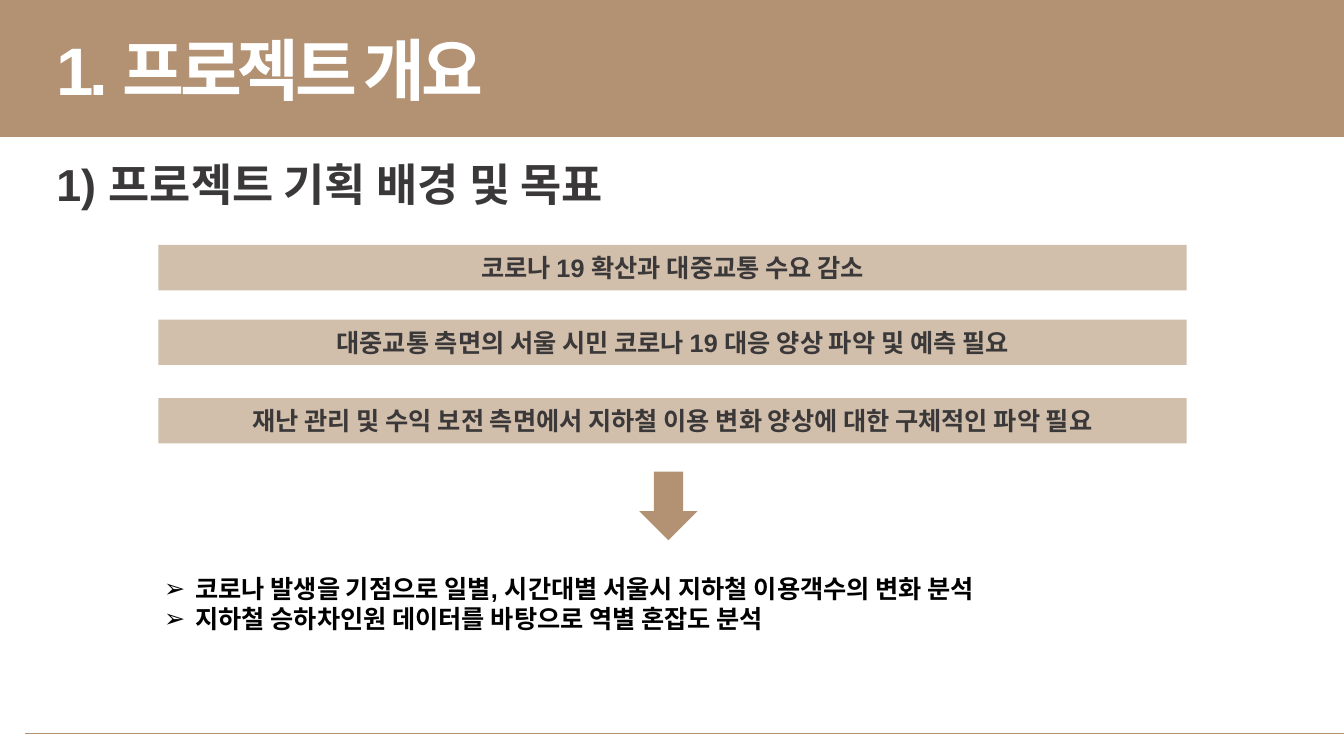
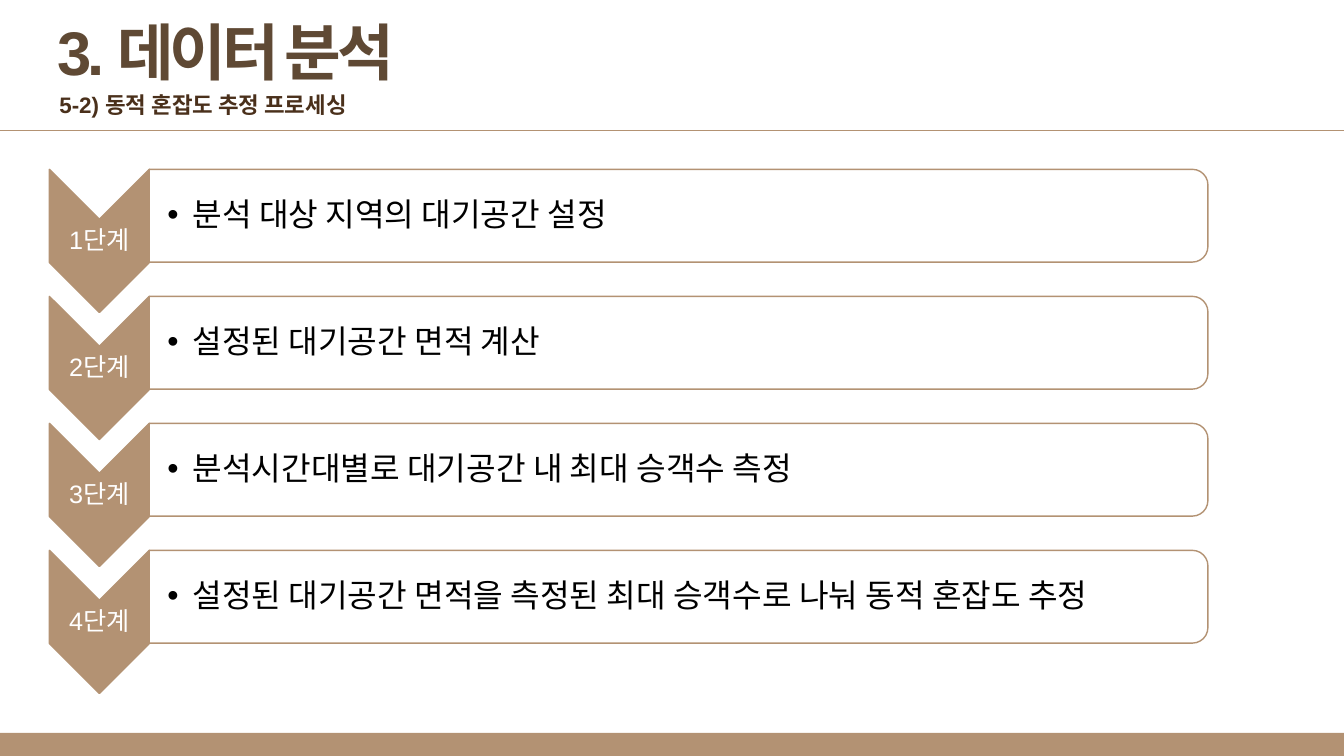
"""Build two slides of a transit project deck: its background and its process."""
from dataclasses import dataclass

from lxml import etree
from pptx import Presentation
from pptx.dml.color import RGBColor
from pptx.enum.shapes import MSO_CONNECTOR, MSO_SHAPE
from pptx.enum.text import MSO_ANCHOR, MSO_AUTO_SIZE, PP_ALIGN
from pptx.oxml.ns import qn
from pptx.util import Inches, Pt

RECT, ARROW = MSO_SHAPE.RECTANGLE, MSO_SHAPE.DOWN_ARROW
CHEVRON, PANEL = MSO_SHAPE.CHEVRON, MSO_SHAPE.ROUND_2_SAME_RECTANGLE
STRAIGHT = MSO_CONNECTOR.STRAIGHT
LEFT, CENTER = PP_ALIGN.LEFT, PP_ALIGN.CENTER
TOP, MIDDLE = MSO_ANCHOR.TOP, MSO_ANCHOR.MIDDLE
GROW, FIXED = MSO_AUTO_SIZE.SHAPE_TO_FIT_TEXT, MSO_AUTO_SIZE.NONE

BACKGROUND = {
    "title": "1. 프로젝트 개요",
    "head": "1) 프로젝트 기획 배경 및 목표",
    "bars": [
        (2.43, "코로나 19 확산과 대중교통 수요 감소"),
        (3.17, "대중교통 측면의 서울 시민 코로나 19 대응 양상 파악 및 예측 필요"),
        (3.95, "재난 관리 및 수익 보전 측면에서 지하철 이용 변화 양상에 대한 구체적인 파악 필요"),
    ],
    "goals": [
        "코로나 발생을 기점으로 일별, 시간대별 서울시 지하철 이용객수의 변화 분석",
        "지하철 승하차인원 데이터를 바탕으로 역별 혼잡도 분석",
    ],
}
PROCESS = {
    "title": "3. 데이터 분석",
    "head": "5-2) 동적 혼잡도 추정 프로세싱",
    "steps": [
        ("1단계", "분석 대상 지역의 대기공간 설정"),
        ("2단계", "설정된 대기공간 면적 계산"),
        ("3단계", "분석시간대별로 대기공간 내 최대 승객수 측정"),
        ("4단계", "설정된 대기공간 면적을 측정된 최대 승객수로 나눠 동적 혼잡도 추정"),
    ],
}


@dataclass(frozen=True)
class Theme:
    wide: float = 13.33
    high: float = 7.5
    font: str = "Arial"
    main: str = "B39273"
    pale: str = "D1BEAB"
    gray: str = "3A3838"
    brown: str = "5F4934"
    dark: str = "4A301B"
    white: str = "FFFFFF"
    black: str = "000000"
    cover: int = 48
    title: int = 44
    head: int = 32
    step: int = 23
    body: int = 18
    sub: int = 16
    tight: int = -300
    rule: float = 0.5
    edge: float = 1


T = Theme()


def color(code):
    return RGBColor.from_string(code)


def add_shape(slide, kind, box, fill, line=None, turn=0):
    shape = slide.shapes.add_shape(kind, *map(Inches, box))
    shape.shadow.inherit = False
    shape.rotation = turn
    shape.fill.solid()
    shape.fill.fore_color.rgb = color(fill)
    if line:
        shape.line.color.rgb = color(line)
        shape.line.width = Pt(T.edge)
    else:
        shape.line.fill.background()
    return shape


def add_turned(slide, kind, box, fill):
    x, y, w, h = box
    frame = (x + (w - h) / 2, y + (h - w) / 2, h, w)
    return add_shape(slide, kind, frame, fill, T.main, 90)


def add_rule(slide, left, y):
    rule = slide.shapes.add_connector(
        STRAIGHT, Inches(left), Inches(y), Inches(T.wide), Inches(y))
    rule.line.color.rgb = color(T.main)
    rule.line.width = Pt(T.rule)
    etree.SubElement(rule._element.spPr, qn("a:effectLst"))


def add_bullet(para, mark, indent):
    props = para._p.get_or_add_pPr()
    props.set("marL", str(Inches(indent)))
    props.set("indent", str(-Inches(indent)))
    etree.SubElement(props, qn("a:buFont")).set("typeface", T.font)
    etree.SubElement(props, qn("a:buChar")).set("char", mark)


def put_text(shape, lines, size, ink, bold=True, align=LEFT, anchor=TOP,
             wrap=True, fit=FIXED, inset=None, bullet=None, indent=0,
             lead=None, after=0, track=0):
    frame = shape.text_frame
    frame.word_wrap = wrap
    frame.auto_size = fit
    frame.vertical_anchor = anchor
    if inset:
        (frame.margin_left, frame.margin_top,
         frame.margin_right, frame.margin_bottom) = map(Inches, inset)
    for index, line in enumerate(lines):
        para = frame.add_paragraph() if index else frame.paragraphs[0]
        para.alignment = align
        if bullet:
            add_bullet(para, bullet, indent)
        if lead:
            para.line_spacing = lead
        if after:
            para.space_after = Pt(round(after * size, 1))
        run = para.add_run()
        run.text = line
        font = run.font
        font.name, font.size, font.bold = T.font, Pt(size), bold
        font.color.rgb = color(ink)
        if track:
            run._r.get_or_add_rPr().set("spc", str(track))


def add_text(slide, box, lines, size, ink, **style):
    shape = slide.shapes.add_textbox(*map(Inches, box))
    put_text(shape, lines, size, ink, **style)


def add_title(slide, box, text, size, ink):
    add_text(slide, box, [text], size, ink, wrap=False, fit=GROW, track=T.tight)


def draw_background(slide, data):
    add_shape(slide, RECT, (0, 0, T.wide, 1.36), T.main)
    add_rule(slide, 0.25, 7.28)
    add_title(slide, (0.46, 0.23, 4.76, 0.91), data["title"], T.cover, T.white)
    for top, text in data["bars"]:
        bar = add_shape(slide, RECT, (1.57, top, 10.2, 0.45), T.pale)
        put_text(bar, [text], T.body, T.gray, align=CENTER, anchor=MIDDLE)
    add_shape(slide, ARROW, (6.34, 4.68, 0.58, 0.68), T.main)
    add_text(slide, (1.53, 5.64, 10.2, 0.71), data["goals"], T.body, T.black,
             fit=GROW, bullet="➢", indent=0.31)
    add_text(slide, (0.46, 1.51, 6.18, 0.64), [data["head"]], T.head, T.gray,
             fit=GROW)


def draw_process(slide, data):
    foot = 0.23
    add_shape(slide, RECT, (0, T.high - foot, T.wide, foot), T.main)
    add_rule(slide, 0, 1.29)
    add_title(slide, (0.47, 0.09, 3.77, 0.84), data["title"], T.title, T.brown)
    add_text(slide, (0.49, 0.86, 3.32, 0.37), [data["head"]], T.sub, T.dark,
             wrap=False, fit=GROW)
    left, top, pitch, tab = 0.49, 1.68, 1.26, 0.99
    right = left + tab
    for index, (label, text) in enumerate(data["steps"]):
        y = top + index * pitch
        add_turned(slide, CHEVRON, (left, y, tab, 1.42), T.main)
        add_text(slide, (left, y + 0.5, tab, 0.43), [label], T.body, T.white,
                 bold=False, align=CENTER, anchor=MIDDLE, inset=[0.01] * 4,
                 lead=0.9, after=0.35)
        add_turned(slide, PANEL, (right, y, 10.5, 0.92), T.white)
        add_text(slide, (right, y + 0.05, 10.45, 0.83), [text], T.step, T.black,
                 bold=False, anchor=MIDDLE, inset=(0.18, 0.02, 0.02, 0.02),
                 bullet="•", indent=0.25, lead=0.9, after=0.15)


def main():
    deck = Presentation()
    deck.slide_width, deck.slide_height = Inches(T.wide), Inches(T.high)
    blank = deck.slide_layouts[6]
    for draw, data in ((draw_background, BACKGROUND), (draw_process, PROCESS)):
        draw(deck.slides.add_slide(blank), data)
    deck.save("out.pptx")


if __name__ == "__main__":
    main()
